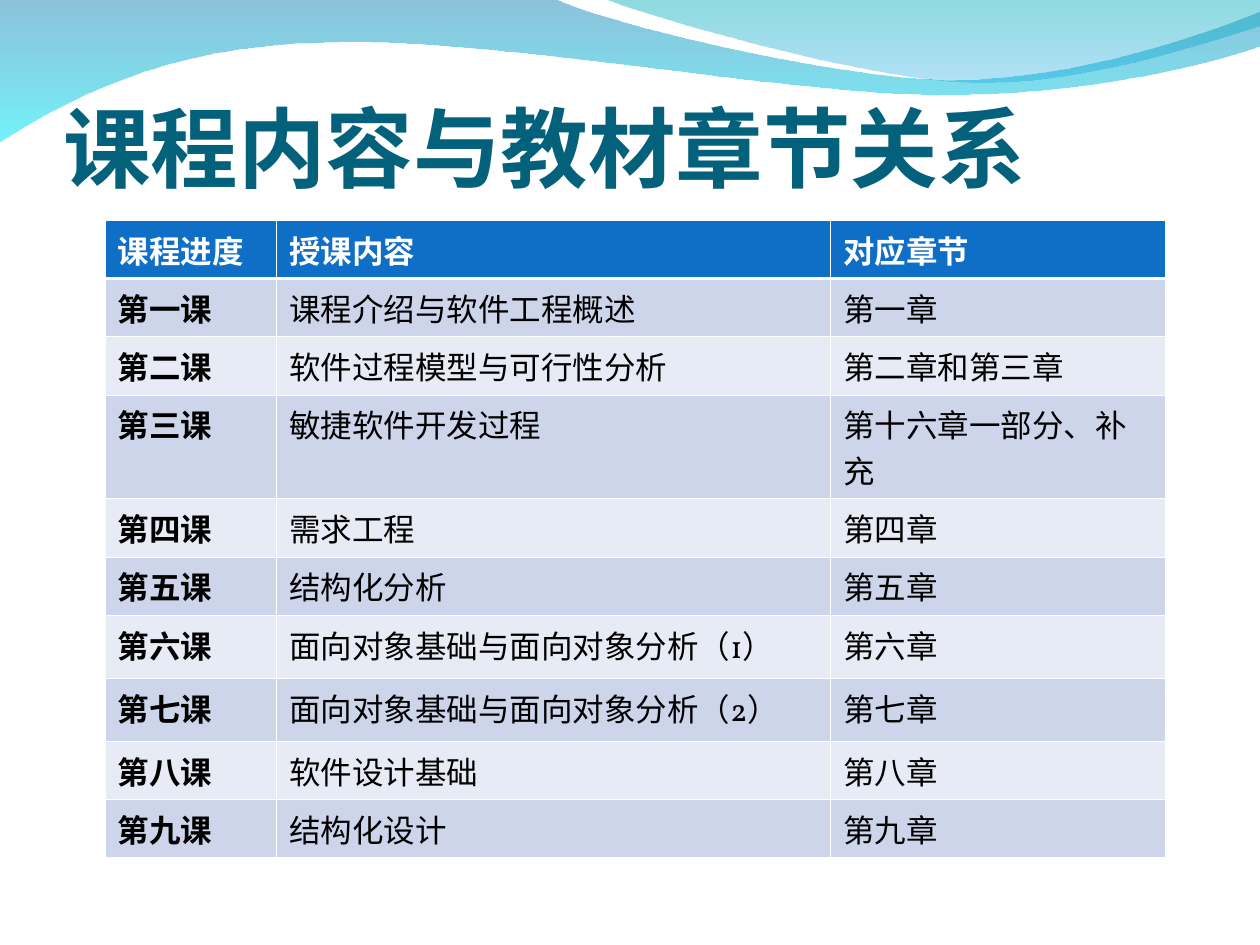
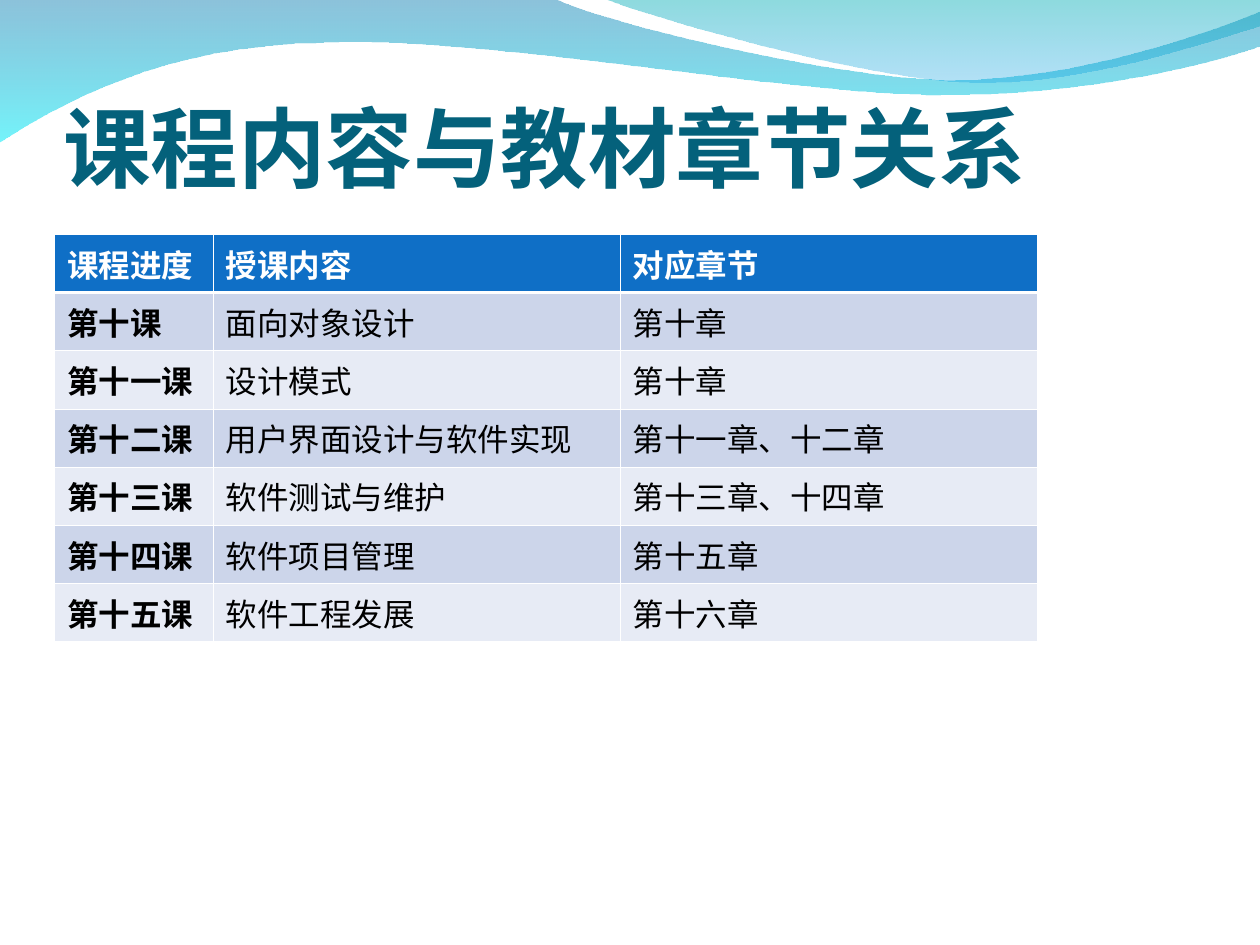
"""Build two slides that map course lessons to textbook chapters."""
from dataclasses import dataclass

from lxml import etree
from pptx import Presentation
from pptx.dml.color import RGBColor
from pptx.enum.text import MSO_ANCHOR, MSO_AUTO_SIZE, PP_ALIGN
from pptx.oxml.ns import qn
from pptx.util import Cm, Pt

BOTTOM = MSO_ANCHOR.BOTTOM
NO_AUTOFIT = MSO_AUTO_SIZE.NONE
LEFT = PP_ALIGN.LEFT


@dataclass(frozen=True)
class Theme:
    """Colours, fonts and sizes shared by the slides."""

    title: str = "04617B"
    header: str = "0F6FC6"
    stripes: tuple = ("CCD5EA", "E7EBF5")
    white: str = "FFFFFF"
    black: str = "000000"
    cjk: str = "Noto Sans CJK SC"
    serif: str = "Vollkorn"
    title_size: float = 50
    cell_size: float = 18
    thin: float = 0.45
    thick: float = 1.47


T = Theme()

TITLE = "课程内容与教材章节关系"
HEADER = ("课程进度", "授课内容", "对应章节")

WAVE_LEFT = [
    [(0, -0.03)],
    [(11.18, -0.03)],
    [(12.09, 0.43), (16.87, 1.6), (19.25, 1.6)],
    [(21.67, 1.6), (24.33, 0.66), (25.4, 0.23)],
    [(25.43, 0.91)],
    [(24.97, 1.12), (22.1, 1.93), (18.95, 1.91)],
    [(15.8, 1.91), (9.7, 0.71), (6.53, 0.86)],
    [(3.28, 0.89), (1.17, 2.11), (-0.03, 2.87)],
]
WAVE_RIGHT = [
    [(12.17, -0.03)],
    [(12.93, 0.28), (17.32, 1.57), (19.53, 1.65)],
    [(21.74, 1.75), (24.41, 0.81), (25.4, 0.53)],
    [(25.4, 0)],
]
WAVES = [
    (WAVE_LEFT, [("0079AF", 45), ("00EBF8", 55)]),
    (WAVE_RIGHT, [("00ADB6", 45), ("009BE5", 30)]),
]

LESSONS_1_TO_9 = [
    ("第一课", "课程介绍与软件工程概述", "第一章", T.cjk),
    ("第二课", "软件过程模型与可行性分析", "第二章和第三章", T.cjk),
    ("第三课", "敏捷软件开发过程", "第十六章一部分、补充", T.serif),
    ("第四课", "需求工程", "第四章", T.serif),
    ("第五课", "结构化分析", "第五章", T.serif),
    ("第六课", "面向对象基础与面向对象分析（1）", "第六章", T.serif),
    ("第七课", "面向对象基础与面向对象分析（2）", "第七章", T.serif),
    ("第八课", "软件设计基础", "第八章", T.serif),
    ("第九课", "结构化设计", "第九章", T.serif),
]
LESSONS_10_TO_15 = [
    ("第十课", "面向对象设计", "第十章", T.serif),
    ("第十一课", "设计模式", "第十章", T.serif),
    ("第十二课", "用户界面设计与软件实现", "第十一章、十二章", T.serif),
    ("第十三课", "软件测试与维护", "第十三章、十四章", T.cjk),
    ("第十四课", "软件项目管理", "第十五章", T.cjk),
    ("第十五课", "软件工程发展", "第十六章", T.cjk),
]


def rgb(value):
    """Return a colour from its hex text."""
    return RGBColor.from_string(value)


def add_run(p, text, size, color, bold, font=T.cjk):
    """Add one formatted run to a paragraph."""
    r = p.add_run()
    r.text = text
    r.font.size = Pt(size)
    r.font.bold = bold
    r.font.color.rgb = rgb(color)
    r.font.name = font
    etree.SubElement(r.font._element, qn("a:ea"), typeface=T.cjk)


def bend(sp, segments):
    """Join each run of three lines that stands for a cubic into one curve."""
    lines = iter(list(sp.element.iter(qn("a:lnTo"))))
    for seg in segments[1:]:
        first, *rest = [next(lines) for _ in seg]
        if rest:
            first.addprevious(curve := etree.Element(qn("a:cubicBezTo")))
            for line in (first, *rest):
                curve.append(line[0])
                line.getparent().remove(line)


def add_wave(slide, segments, stops):
    """Draw one translucent gradient wave."""
    points = [(Cm(x), Cm(y)) for seg in segments for x, y in seg]
    builder = slide.shapes.build_freeform(*points[0])
    builder.add_line_segments(points[1:], close=True)
    sp = builder.convert_to_shape()
    bend(sp, segments)
    sp.shadow.inherit = False
    sp.line.fill.background()
    sp.fill.gradient()
    sp.fill.gradient_angle = 270
    for stop, (color, _) in zip(sp.fill.gradient_stops, stops):
        stop.color.rgb = rgb(color)
    colors = sp.element.spPr.iter(qn("a:srgbClr"))
    for clr, (_, opacity) in zip(list(colors), stops):
        etree.SubElement(clr, qn("a:alpha"), val=str(opacity * 1000))
    return sp


def move_waves_to_layout(slide):
    """Place the waves behind the content of the slide's layout."""
    layout = slide.slide_layout
    for ph in list(layout.placeholders)[1:]:
        ph.element.getparent().remove(ph.element)
    for i, (segments, stops) in enumerate(WAVES):
        sp = add_wave(slide, segments, stops)
        layout.shapes.element.insert(2 + i, sp.element)


def set_title(slide):
    """Move and format the title placeholder."""
    sp = slide.shapes.title
    sp.left, sp.top, sp.width, sp.height = Cm(1.27), Cm(0.84), Cm(22.86), Cm(3.18)
    tf = sp.text_frame
    tf.auto_size = NO_AUTOFIT
    tf.vertical_anchor = BOTTOM
    tf.margin_left = tf.margin_right = tf.margin_bottom = 0
    tf.margin_top = Cm(0.13)
    p = tf.paragraphs[0]
    p.alignment = LEFT
    add_run(p, TITLE, T.title_size, T.title, True)


def set_borders(cell, top, bottom):
    """Give a cell white borders of the given top and bottom widths."""
    tc_pr = cell._tc.get_or_add_tcPr()
    for side, width in zip("LRTB", (T.thin, T.thin, top, bottom)):
        ln = etree.SubElement(tc_pr, qn(f"a:ln{side}"), w=str(int(Pt(width))))
        fill = etree.SubElement(ln, qn("a:solidFill"))
        etree.SubElement(fill, qn("a:srgbClr"), val=T.white)


def fill_cell(cell, row, col, text, font):
    """Write and colour one cell according to its row and column."""
    header = row == 0
    set_borders(cell, T.thick if row == 1 else T.thin, T.thick if header else T.thin)
    cell.fill.solid()
    cell.fill.fore_color.rgb = rgb(T.header if header else T.stripes[(row - 1) % 2])
    add_run(cell.text_frame.paragraphs[0], text, T.cell_size,
            T.white if header else T.black, header or col == 0, font)


def add_lessons(slide, left, top, widths, lessons, tall_rows=()):
    """Add the table of lessons, topics and chapters."""
    rows = [(*HEADER, T.cjk), *lessons]
    heights = [1.02] + [1.93 if i in tall_rows else 1.17 for i in range(1, len(rows))]
    table = slide.shapes.add_table(len(rows), len(widths), Cm(left), Cm(top),
                                   Cm(sum(widths)), Cm(sum(heights))).table
    for column, width in zip(table.columns, widths):
        column.width = Cm(width)
    for i, (*texts, topic_font) in enumerate(rows):
        table.rows[i].height = Cm(heights[i])
        for j, text in enumerate(texts):
            fill_cell(table.cell(i, j), i, j, text, topic_font if j == 1 else T.cjk)


def main():
    """Build and save the presentation."""
    prs = Presentation()
    prs.slide_width, prs.slide_height = Cm(25.4), Cm(19.05)
    first, second = [prs.slides.add_slide(prs.slide_layouts[5]) for _ in range(2)]
    move_waves_to_layout(first)
    for slide in (first, second):
        set_title(slide)
    add_lessons(first, 2.12, 4.44, (3.46, 11.16, 6.76), LESSONS_1_TO_9, tall_rows=(3,))
    add_lessons(second, 1.1, 4.72, (3.2, 8.2, 8.42), LESSONS_10_TO_15)
    prs.save("out.pptx")


if __name__ == "__main__":
    main()
